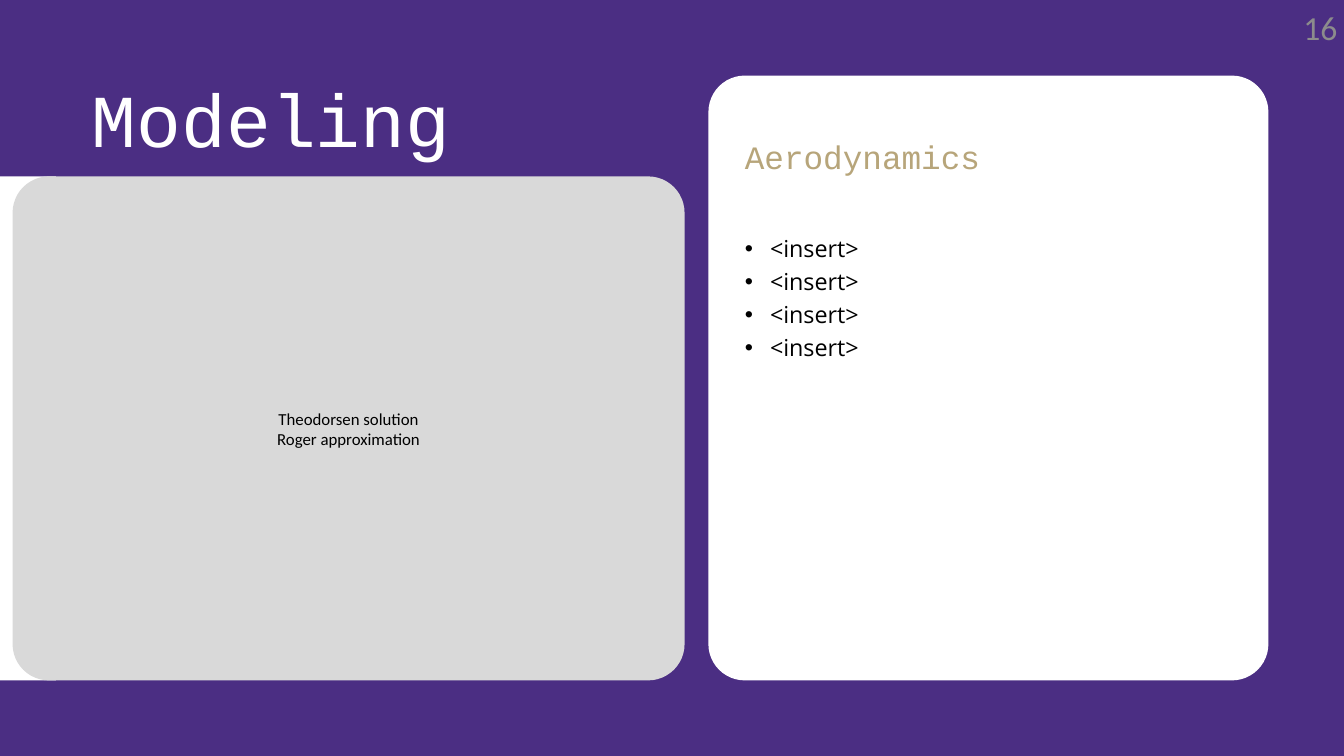
from lxml import etree
from pptx import Presentation
from pptx.dml.color import RGBColor
from pptx.enum.shapes import MSO_SHAPE as SHAPE
from pptx.enum.text import MSO_ANCHOR as ANCHOR, PP_ALIGN as ALIGN
from pptx.oxml.ns import qn
from pptx.util import Pt

COLORS = {
    "purple": "4B2E83",
    "gold": "B7A57A",
    "white": "FFFFFF",
    "black": "000000",
    "panel": "D9D9D9",
    "number": "8C8C8C",
}


def rgb(name):
    return RGBColor.from_string(COLORS[name])


def add_block(slide, kind, box, color, radius=None):
    sp = slide.shapes.add_shape(kind, *map(Pt, box))
    sp.shadow.inherit = False
    sp.fill.solid()
    sp.fill.fore_color.rgb = rgb(color)
    sp.line.fill.background()
    if radius is not None:
        sp.adjustments[0] = radius / min(box[2:])
    return sp


def add_bullet(p, indent):
    pPr = p._p.get_or_add_pPr()
    pPr.set("marL", str(Pt(indent)))
    pPr.set("indent", str(-Pt(indent)))
    etree.SubElement(pPr, qn("a:buFont"), typeface="Arial")
    etree.SubElement(pPr, qn("a:buChar"), char="•")


def fill_text(tf, lines, font, size, color, align=ALIGN.LEFT, spacing=None, indent=None):
    tf.word_wrap = True
    tf.text = "\n".join(lines)
    for p in tf.paragraphs:
        p.alignment = align
        if spacing:
            p.line_spacing = Pt(spacing)
        if indent:
            add_bullet(p, indent)
        for r in p.runs:
            r.font.name = font
            r.font.size = Pt(size)
            r.font.color.rgb = rgb(color)


def add_text(slide, box, lines, font, size, color, inset=0, **layout):
    tf = slide.shapes.add_textbox(*map(Pt, box)).text_frame
    tf.margin_left = tf.margin_right = tf.margin_top = tf.margin_bottom = Pt(inset)
    fill_text(tf, lines, font, size, color, **layout)


def add_topic_panel(slide, box, lines):
    """Grey rounded panel over a white strip that runs to the slide's left edge."""
    left, top, width, height = box
    add_block(slide, SHAPE.RECTANGLE, (0, top, 60, height), "white")
    sp = add_block(slide, SHAPE.ROUNDED_RECTANGLE, box, "panel", radius=39)
    sp.text_frame.vertical_anchor = ANCHOR.MIDDLE
    fill_text(sp.text_frame, lines, "Calibri", 18, "black", align=ALIGN.CENTER)


def add_detail_card(slide, box, heading, bullets):
    left, top, width, height = box
    pad = 39
    add_block(slide, SHAPE.ROUNDED_RECTANGLE, box, "white", radius=pad)
    x, w = left + pad, width - 2 * pad
    add_text(slide, (x, top + 63, w, 41), [heading],
             "Courier New", 35, "gold", spacing=44.1)
    add_text(slide, (x, top + 164.5, w, 142), bullets,
             "Open Sans", 25, "black", spacing=35.5, indent=27)


def main():
    prs = Presentation()
    prs.slide_width, prs.slide_height = Pt(1440), Pt(810)
    slide = prs.slides.add_slide(prs.slide_layouts[6])
    slide.background.fill.solid()
    slide.background.fill.fore_color.rgb = rgb("purple")

    add_topic_panel(slide, (13.5, 189, 720, 540),
                    ["Theodorsen solution", "Roger approximation"])
    add_text(slide, (98.5, 73, 1103, 93.5), ["Modeling"],
             "Courier New", 80, "white", spacing=100.8)
    add_detail_card(slide, (759, 81, 600, 648), "Aerodynamics", ["<insert>"] * 4)
    add_text(slide, (1359, 0, 81, 90), ["16"],
             "Calibri", 36, "number", inset=7.2, align=ALIGN.RIGHT)

    prs.save("out.pptx")


if __name__ == "__main__":
    main()
